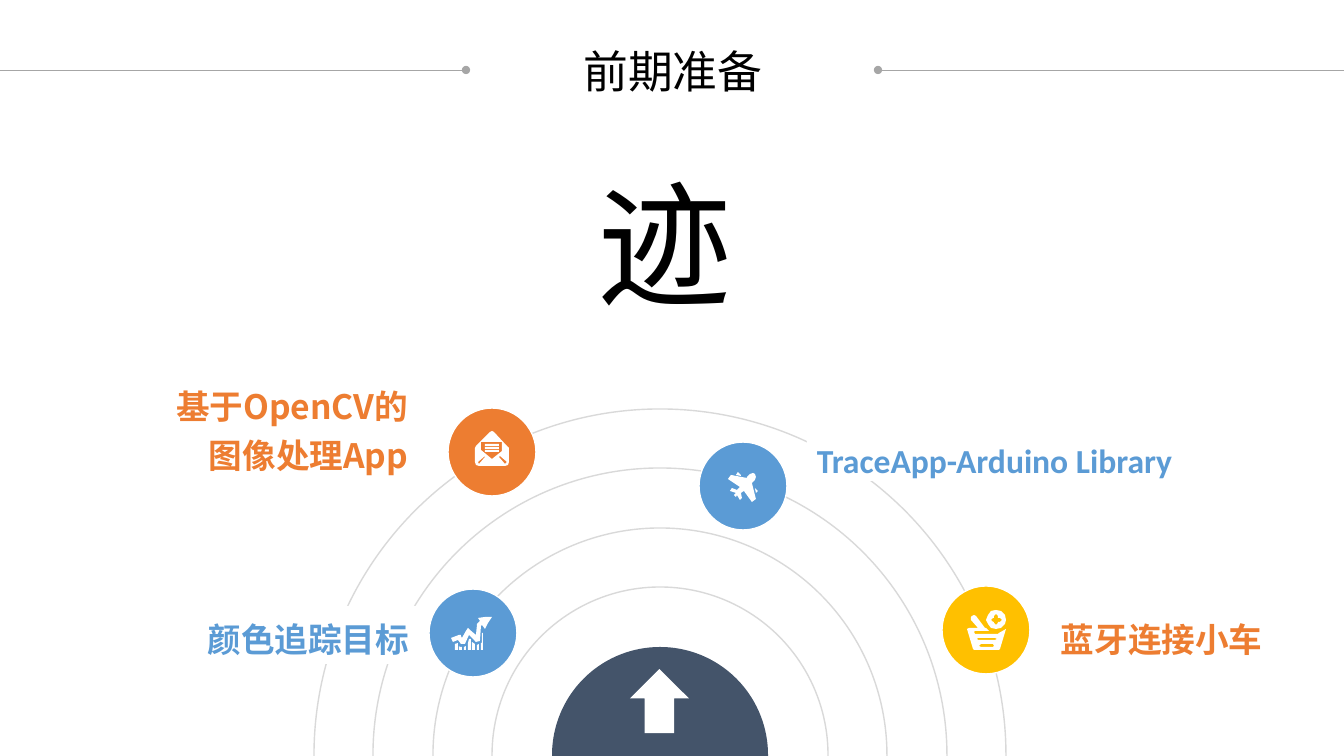
from lxml import etree
from pptx import Presentation
from pptx import util as u
from pptx.dml.color import RGBColor
from pptx.enum import shapes, text
from pptx.oxml.ns import qn

PX = u.Inches(1) / 100.8
SLIDE_W, SLIDE_H = 1344, 756

BLACK = RGBColor(0x00, 0x00, 0x00)
WHITE = RGBColor(0xFF, 0xFF, 0xFF)
NAVY = RGBColor(0x44, 0x54, 0x6A)
BLUE = RGBColor(0x5B, 0x9B, 0xD5)
ORANGE = RGBColor(0xED, 0x7D, 0x31)
YELLOW = RGBColor(0xFF, 0xC0, 0x00)
RING_GREY = RGBColor(0xD9, 0xD9, 0xD9)
RULE_GREY = RGBColor(0xA6, 0xA6, 0xA6)
CJK, LATIN = "Noto Sans CJK SC", "Calibri"
LEFT, CENTER, RIGHT = text.PP_ALIGN.LEFT, text.PP_ALIGN.CENTER, text.PP_ALIGN.RIGHT

TITLE = ("前期准备", (573, 38, 200, 65))
EMBLEM = ("迹", (588, 156, 200, 173))
# text, box, colour, font, alignment, background
LABELS = [
    ("蓝牙连接小车", (1051, 606, 270, 58), ORANGE, CJK, LEFT, None),
    ("TraceApp-Arduino Library", (807, 427, 501, 54), BLUE, LATIN, LEFT, WHITE),
    ("基于OpenCV的图像处理App", (139, 373, 279, 108), ORANGE, CJK, RIGHT, None),
    ("颜色追踪目标", (189, 606, 230, 58), BLUE, CJK, RIGHT, WHITE),
]
# start x, end x, line end that carries the dot
RULE_Y = 70
RULES = [(0, 466, "a:tailEnd"), (878, SLIDE_W, "a:headEnd")]

HUB = (660, 755)
HUB_RADIUS = 108
RING_RADII = [168, 227, 287, 346]
BADGE_RADIUS = 44

# Icon outlines in px from the icon's top left corner
GROWTH = [
    [(30, 33), (32, 33), (32, 16), (31, 16), (31, 26), (30, 26)],
    [(41, 0), (37, 6), (34, 12), (31, 8), (30, 9), (29, 24), (25, 25), (18, 18), (14, 27),
     (10, 27), (7, 23), (2, 25), (0, 21), (8, 18), (10, 18), (10, 19), (11, 21), (15, 14),
     (17, 11), (19, 13), (25, 18), (26, 8), (26, 7), (27, 6), (29, 4), (27, 1), (34, 0)],
    [(8, 33), (11, 33), (11, 30), (9, 30), (8, 29)],
    [(4, 33), (7, 33), (7, 26), (4, 27)],
    [(13, 33), (15, 33), (15, 29), (13, 30)],
    [(17, 33), (20, 33), (20, 22), (18, 22), (17, 26)],
    [(21, 33), (24, 33), (24, 27), (21, 25)],
    [(26, 33), (28, 33), (28, 27), (26, 28)],
]
ENVELOPE = [
    [(32, 15), (34, 17), (34, 31), (33, 34), (30, 35), (4, 35), (1, 34), (0, 31), (0, 17),
     (1, 15), (15, 1), (17, 0), (19, 1)],
    [(6, 11), (6, 19), (17, 28), (27, 20), (27, 11)],
    *[[(10, y), (10, y + 2), (24, y + 2), (24, y)] for y in (13, 16, 19)],
    [(4, 33), (10, 26), (10, 25), (3, 31)],
    [(32, 31), (25, 25), (24, 26), (30, 33)],
]
PLANE = [
    [(27, 2), (28, 5), (27, 8), (25, 10), (24, 11), (28, 27), (24, 30), (16, 19), (13, 21),
     (14, 26), (12, 28), (9, 23), (8, 25), (6, 23), (8, 21), (2, 19), (4, 16), (9, 18),
     (12, 15), (0, 7), (3, 3), (19, 6), (19, 5), (22, 2), (25, 1)],
    [(30, 19), (27, 16), (28, 21)],
    [(10, 0), (8, 3), (13, 4), (13, 3)],
]
BASKET = [
    [(14, 34), (12, 36), (14, 37), (26, 37), (27, 36), (26, 34)],
    [(11, 28), (10, 29), (11, 30), (28, 30), (30, 29), (28, 28)],
    [(7, 5), (9, 6), (18, 18), (19, 18), (22, 21), (8, 21), (7, 22), (8, 24), (31, 24),
     (32, 23), (39, 19), (33, 39), (32, 40), (7, 40), (6, 39), (0, 19), (2, 18), (11, 18),
     (4, 10), (4, 7), (5, 6)],
    [(29, 4), (27, 6), (27, 8), (26, 8), (24, 10), (26, 12), (27, 12), (27, 13), (29, 15),
     (31, 13), (31, 12), (33, 12), (35, 10), (33, 8), (31, 8), (31, 6)],
    [(29, 0), (34, 1), (38, 5), (39, 10), (38, 14), (34, 18), (29, 19), (24, 18), (21, 14),
     (19, 10), (21, 5), (24, 1)],
]
# centre, colour, icon corner, icon outlines
BADGES = [
    ((473, 633), BLUE, (451, 617), GROWTH),
    ((492, 452), ORANGE, (475, 431), ENVELOPE),
    ((743, 486), BLUE, (728, 472), PLANE),
    ((986, 630), YELLOW, (967, 610), BASKET),
]


def emu(*lengths):
    return [u.Emu(round(length * PX)) for length in lengths]


def paint(shape, fill=None, line=None):
    shape.shadow.inherit = False
    if fill is None:
        shape.fill.background()
    else:
        shape.fill.solid()
        shape.fill.fore_color.rgb = fill
    if line is None:
        shape.line.fill.background()
    else:
        shape.line.color.rgb = line
        shape.line.width = u.Pt(1)


def add_disc(slide, centre, radius, **colours):
    x, y = centre
    disc = slide.shapes.add_shape(shapes.MSO_SHAPE.OVAL,
                                  *emu(x - radius, y - radius, 2 * radius, 2 * radius))
    paint(disc, **colours)


def add_icon(slide, corner, outlines):
    """Draw all outlines as one white shape; inner outlines become holes."""
    builder = slide.shapes.build_freeform(*outlines[0][0], scale=PX)
    for outline in outlines:
        builder.move_to(*outline[0])
        builder.add_line_segments(outline[1:], close=True)
    paint(builder.convert_to_shape(*emu(*corner)), fill=WHITE)


def add_rule(slide, start, end, dotted_end):
    rule = slide.shapes.add_connector(shapes.MSO_CONNECTOR.STRAIGHT,
                                      *emu(start, RULE_Y, end, RULE_Y))
    rule.line.color.rgb = RULE_GREY
    rule.line.width = u.Pt(0.5)
    etree.SubElement(rule.line._get_or_add_ln(), qn(dotted_end), type="oval")
    etree.SubElement(rule._element.spPr, qn("a:effectLst"))


def write(shape, words, size, color=BLACK, font=CJK, bold=False, align=LEFT,
          spacing=1.0, wrap=True, anchor=text.MSO_ANCHOR.TOP):
    frame = shape.text_frame
    frame.text = words
    frame.word_wrap = wrap
    frame.auto_size = text.MSO_AUTO_SIZE.NONE
    frame.vertical_anchor = anchor
    paragraph = frame.paragraphs[0]
    paragraph.alignment = align
    paragraph.line_spacing = spacing
    run = paragraph.runs[0]
    run.font.size = u.Pt(size)
    run.font.bold = bold
    run.font.color.rgb = color
    run.font.name = font
    etree.SubElement(run.font._element, qn("a:ea"), typeface=font)


def main():
    deck = Presentation()
    deck.slide_width, deck.slide_height = emu(SLIDE_W, SLIDE_H)
    slide = deck.slides.add_slide(deck.slide_layouts[5])

    heading = slide.shapes.title
    words, box = TITLE
    heading.left, heading.top, heading.width, heading.height = emu(*box)
    write(heading, words, 32, align=CENTER, wrap=False, anchor=text.MSO_ANCHOR.MIDDLE)

    for radius in RING_RADII:
        add_disc(slide, HUB, radius, line=RING_GREY)
    add_disc(slide, HUB, HUB_RADIUS, fill=NAVY)
    up_arrow = slide.shapes.add_shape(shapes.MSO_SHAPE.UP_ARROW, *emu(630, 669, 59, 64))
    paint(up_arrow, fill=WHITE)

    for centre, color, corner, outlines in BADGES:
        add_disc(slide, centre, BADGE_RADIUS, fill=color, line=WHITE)
        add_icon(slide, corner, outlines)

    for rule in RULES:
        add_rule(slide, *rule)

    for words, box, color, font, align, background in LABELS:
        label = slide.shapes.add_textbox(*emu(*box))
        if background is not None:
            label.fill.solid()
            label.fill.fore_color.rgb = background
        write(label, words, 24, color=color, font=font, bold=True, align=align, spacing=1.2)

    words, box = EMBLEM
    write(slide.shapes.add_textbox(*emu(*box)), words, 96)

    deck.save("out.pptx")


if __name__ == "__main__":
    main()
